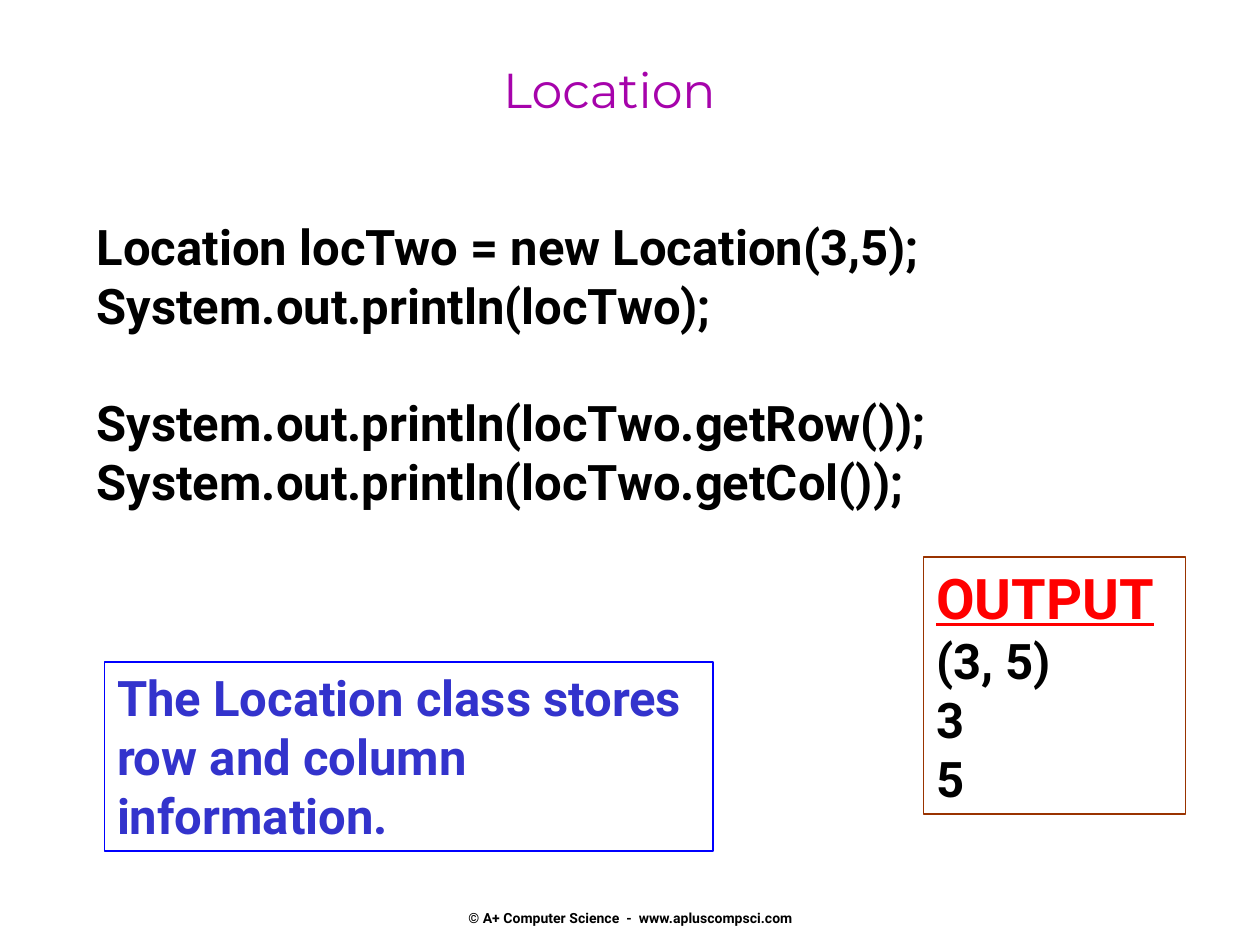
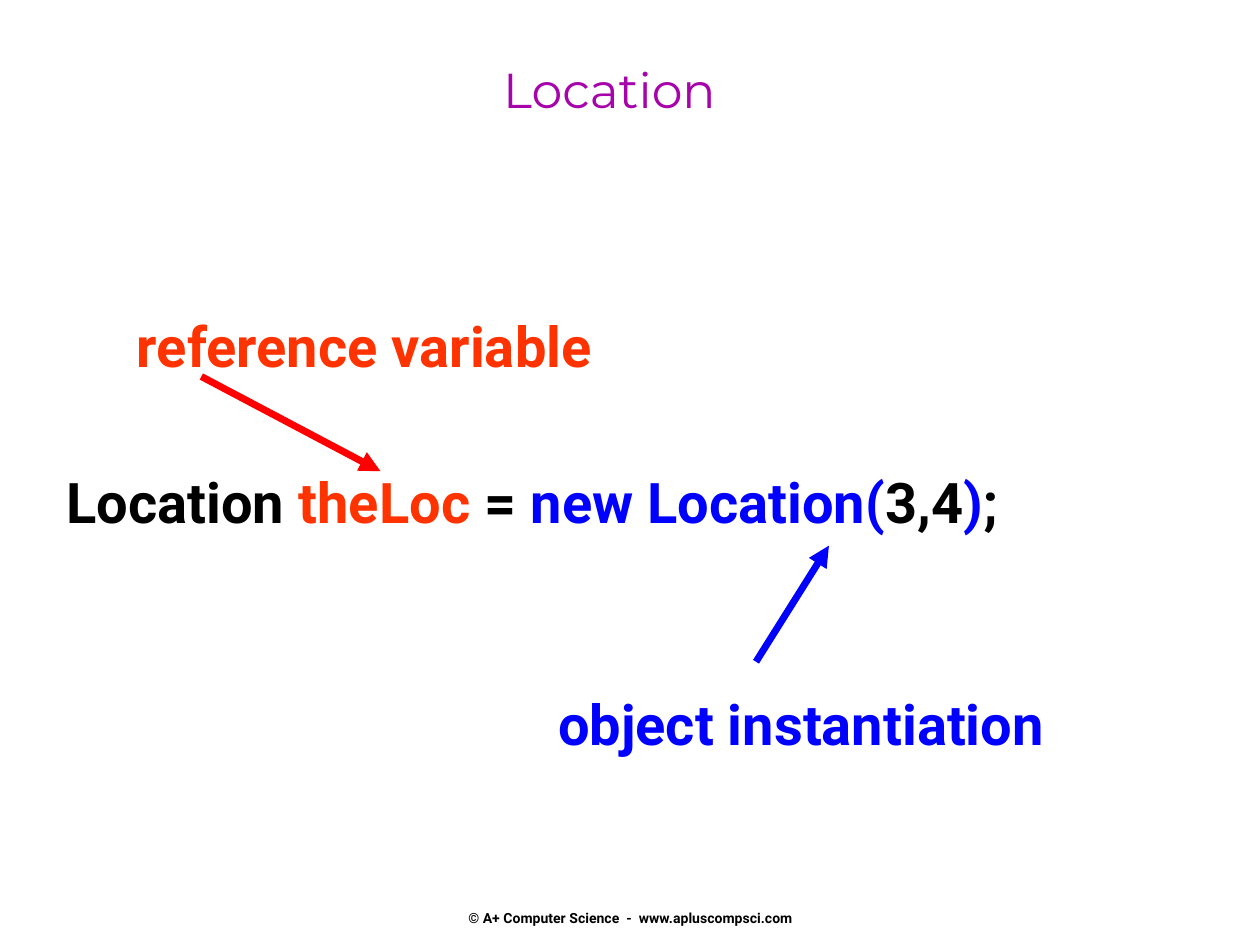
from pptx import Presentation
from pptx import util as u
from pptx.dml.color import RGBColor
from pptx.enum import shapes, text
from pptx.oxml.ns import qn
from lxml import etree

INK = {
    "black": "000000",
    "white": "FFFFFF",
    "purple": "A603AB",
    "red": "FF0000",
    "orange": "FF3300",
    "brown": "993300",
    "blue": "0000FF",
    "indigo": "3333CC",
}


def tint(name):
    return RGBColor.from_string(INK[name])


class Deck:
    head = "Montserrat"
    body = "Roboto"

    def __init__(self):
        self.prs = Presentation()
        self.prs.slide_width = u.Cm(25.4)
        self.prs.slide_height = u.Cm(19.05)
        self.slide = None

    def page(self, title):
        self.slide = self.prs.slides.add_slide(self.prs.slide_layouts[6])
        mark = "© A+ Computer Science  -  www.apluscompsci.com"
        foot = self.label((8.69, 17.35, 8.05, 1.32), [[(mark, "black")]], 8, mid=True)
        foot.vertical_anchor = text.MSO_ANCHOR.BOTTOM
        foot.margin_bottom = 0
        self.label((2.34, 1.07, 19.89, 2.54), [[(title, "purple")]], 28,
                   mid=True, font=self.head, bold=False)

    def words(self, frame, lines, size, mid=False, font=None, bold=True):
        frame.word_wrap = True
        frame.vertical_anchor = text.MSO_ANCHOR.TOP
        for i, line in enumerate(lines):
            para = frame.paragraphs[0] if i == 0 else frame.add_paragraph()
            para.alignment = text.PP_ALIGN.CENTER if mid else text.PP_ALIGN.LEFT
            for part, ink in line:
                run = para.add_run()
                run.text = part
                run.font.name = font or self.body
                run.font.size = u.Pt(size)
                run.font.bold = bold
                run.font.color.rgb = tint(ink)
        return frame

    def label(self, at, lines, size, **style):
        box = self.slide.shapes.add_textbox(*map(u.Cm, at))
        return self.words(box.text_frame, lines, size, **style)

    def panel(self, at, lines, size, line=None, fill=None):
        box = self.slide.shapes.add_shape(shapes.MSO_SHAPE.RECTANGLE, *map(u.Cm, at))
        box.shadow.inherit = False
        if fill:
            box.fill.solid()
            box.fill.fore_color.rgb = tint(fill)
        else:
            box.fill.background()
        if line:
            box.line.color.rgb = tint(line)
            box.line.width = u.Pt(1)
        else:
            box.line.fill.background()
        return self.words(box.text_frame, lines, size)

    def arrow(self, start, end, ink):
        link = self.slide.shapes.add_connector(
            shapes.MSO_CONNECTOR.STRAIGHT, *map(u.Cm, start + end))
        link.line.color.rgb = tint(ink)
        link.line.width = u.Pt(4)
        props = link.element.spPr
        tip = etree.SubElement(props.find(qn("a:ln")), qn("a:tailEnd"))
        tip.set("type", "triangle")
        etree.SubElement(props, qn("a:effectLst"))


def usage(deck):
    deck.page("Location")
    code = [
        "Location locTwo = new Location(3,5);",
        "System.out.println(locTwo);",
        "System.out.println(locTwo.getRow());",
        "System.out.println(locTwo.getCol());",
    ]
    frame = deck.label((1.7, 4.24, 22.22, 7.37), [[(row, "black")] for row in code], 28)
    frame.paragraphs[2].space_before = u.Pt(33.5)

    lines = [[("OUTPUT", "red")]] + [[(row, "black")] for row in ("(3, 5)", "3", "5")]
    frame = deck.panel((18.62, 11.23, 5.28, 5.18), lines, 28, line="brown")
    top = frame.paragraphs[0].runs[0].font
    top.size = u.Pt(32)
    top.underline = True

    note = "The Location class stores row and column information."
    deck.panel((2.11, 13.34, 12.27, 3.81), [[(note, "indigo")]], 28, line="blue")


def parts(deck):
    deck.page("Location")
    code = [
        ("Location ", "black"),
        ("theLoc", "orange"),
        (" = ", "black"),
        ("new Location(", "blue"),
        ("3,4", "black"),
        (")", "blue"),
        (";", "black"),
    ]
    deck.panel((1.09, 9.3, 23.5, 4.32), [code], 32, fill="white")
    deck.arrow((4.06, 7.59), (7.67, 9.5), "red")
    deck.label((2.51, 6.15, 10.85, 1.63), [[("reference variable", "orange")]], 32)
    deck.arrow((15.24, 13.34), (16.71, 11), "blue")
    deck.label((11, 13.77, 11.66, 1.63), [[("object instantiation", "blue")]], 32)


def main():
    deck = Deck()
    usage(deck)
    parts(deck)
    deck.prs.save("out.pptx")


if __name__ == "__main__":
    main()
